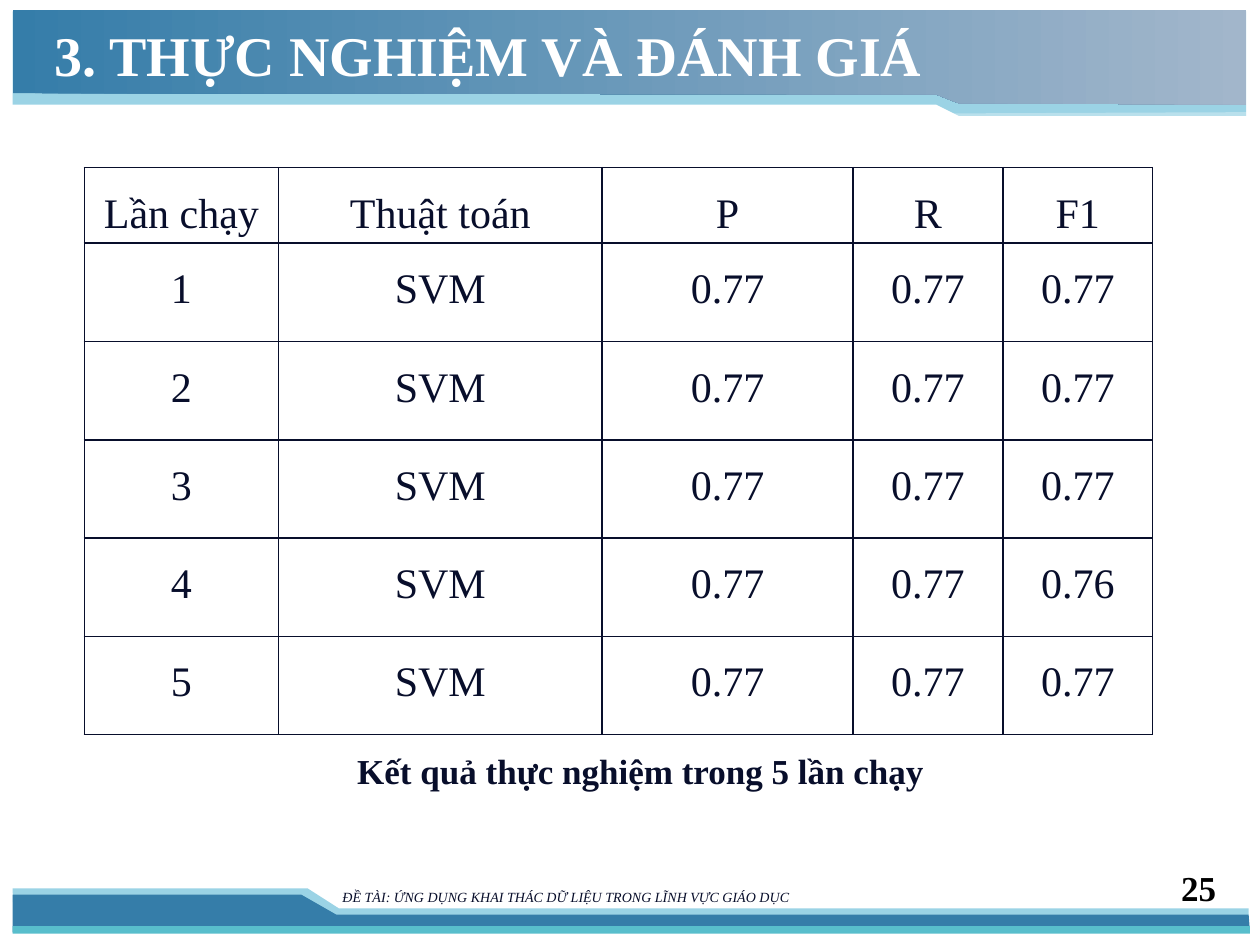
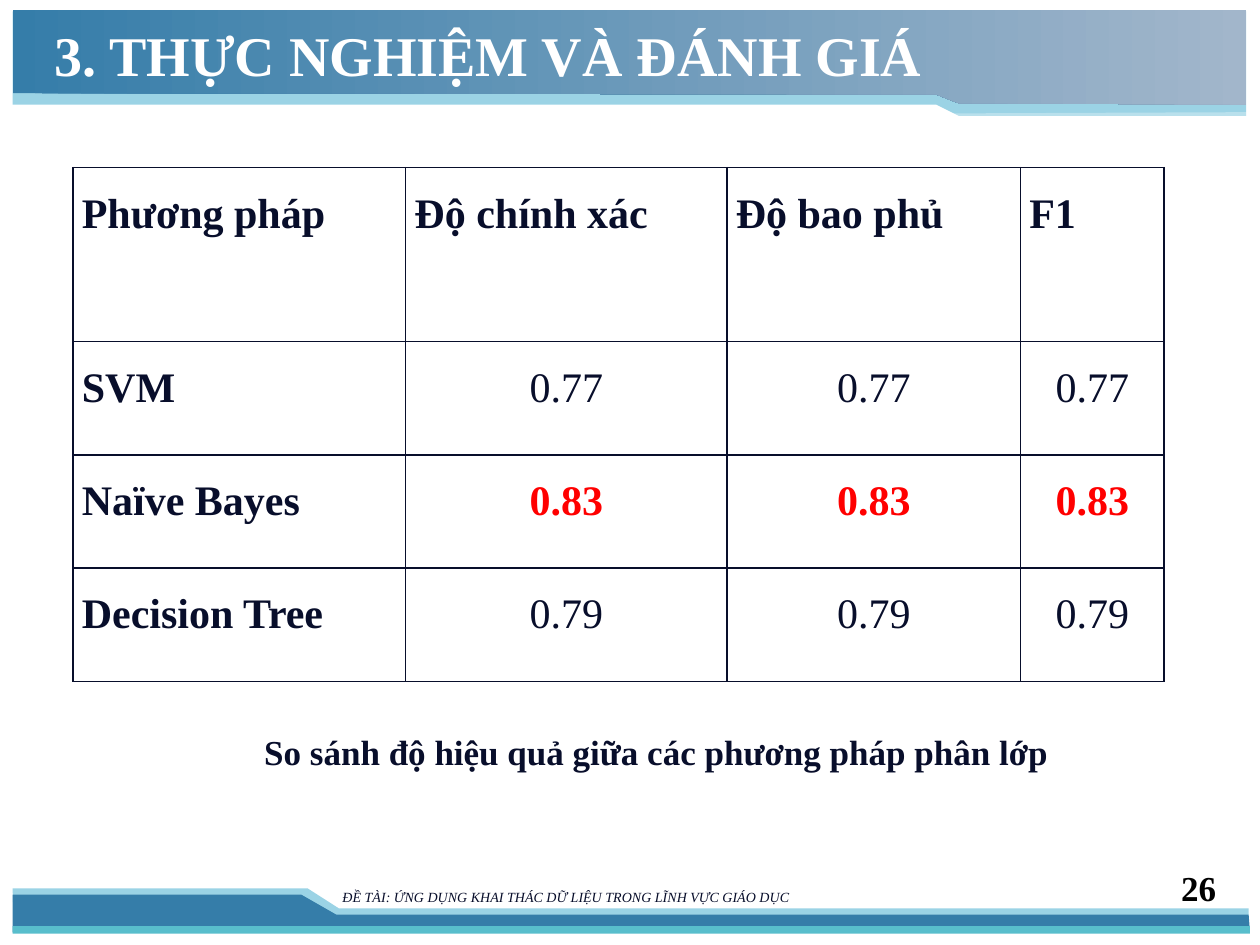
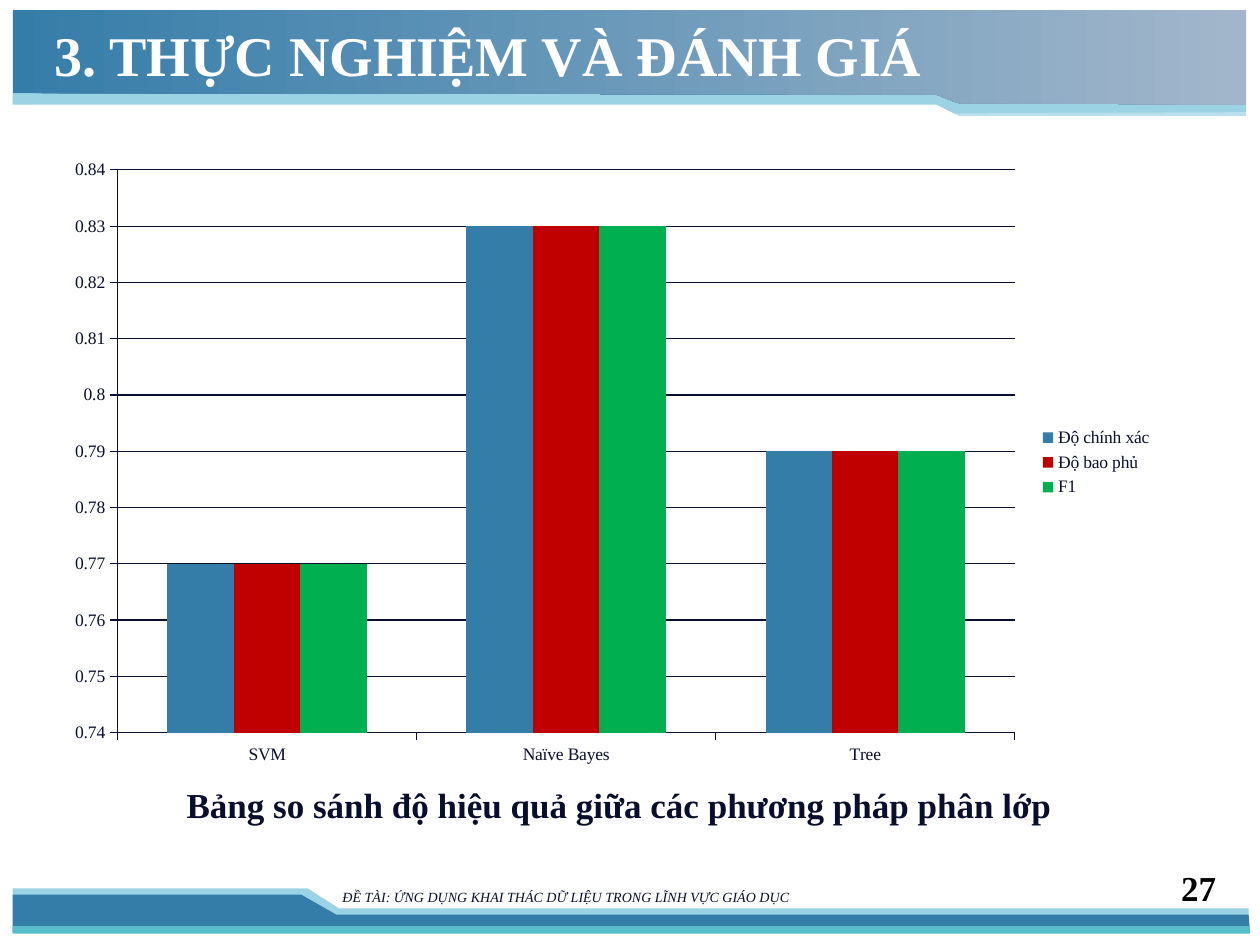
from lxml.etree import SubElement as Sub
from pptx import Presentation
from pptx.chart.data import CategoryChartData as ChartData
from pptx.dml.color import RGBColor
from pptx.enum.chart import XL_CHART_TYPE as Kind, XL_LEGEND_POSITION as Spot
from pptx.enum.chart import XL_TICK_MARK as Tick
from pptx.enum.shapes import MSO_SHAPE as Shape
from pptx.enum.text import MSO_ANCHOR as Anchor, PP_ALIGN as Align
from pptx.oxml.ns import qn
from pptx.util import Inches, Pt

FONT = "Times New Roman"
INK, WHITE, RED = "080E2B", "FFFFFF", "FF0000"
BLUE, PALE, MIST, TEAL = "357DA9", "9BD3E5", "A2B6CB", "58BECC"

TITLE = "3. THỰC NGHIỆM VÀ ĐÁNH GIÁ"
TOPIC = "ĐỀ TÀI: ỨNG DỤNG KHAI THÁC DỮ LIỆU TRONG LĨNH VỰC GIÁO DỤC"
NAMES = ["Độ chính xác", "Độ bao phủ", "F1"]


def rgb(code):
    """Turn a hex string into a colour."""
    return RGBColor.from_string(code)


def write(frame, text, size, color=INK, bold=False, italic=False, align=Align.LEFT):
    """Put one formatted paragraph in a text frame and return it."""
    frame.text = text
    frame.word_wrap = True
    para = frame.paragraphs[0]
    para.alignment = align
    font = para.runs[0].font
    font.name, font.size = FONT, Pt(size)
    font.bold, font.italic = bold, italic
    font.color.rgb = rgb(color)
    return para


# Bands of every slide, back to front: fill and corner points
BANDS = [
    (PALE, [(9.89, 0.09), (0.1, 0.09), (0.1, 0.83), (7.43, 0.83), (7.61, 0.92), (9.89, 0.92)]),
    ("fade", [(9.89, 0.08), (0.1, 0.08), (0.1, 0.74), (7.43, 0.75), (7.61, 0.82), (9.89, 0.83)]),
    ("glass", [(7.54, 0.9), (9.9, 0.89), (9.9, 0.94), (7.65, 0.94)]),
    (PALE, [(0.11, 7.39), (9.91, 7.39), (9.91, 7.21), (2.69, 7.21), (2.44, 7.05), (0.1, 7.05)]),
    (BLUE, [(0.1, 7.4), (9.92, 7.39), (9.91, 7.26), (2.67, 7.26), (2.39, 7.1), (0.1, 7.1)]),
]

# Page number, then caption text, left, top and width
PAGES = [
    (25, "Kết quả thực nghiệm trong 5 lần chạy", 1.92, 5.9, 6.33),
    (26, "So sánh độ hiệu quả giữa các phương pháp phân lớp", 1.92, 5.75, 6.58),
    (27, "Bảng so sánh độ hiệu quả giữa các phương pháp phân lớp", 1.25, 6.17, 7.33),
]

prs = Presentation()
prs.slide_width, prs.slide_height = Inches(10), Inches(7.5)

slides = []
for page, note, left, top, width in PAGES:
    slide = prs.slides.add_slide(prs.slide_layouts[5])
    slides.append(slide)
    title = slide.shapes.title

    for tone, dots in BANDS:
        dots = [(Inches(x), Inches(y)) for x, y in dots]
        pen = slide.shapes.build_freeform(*dots[0])
        pen.add_line_segments(dots[1:], close=True)
        band = pen.convert_to_shape()
        band.shadow.inherit = False
        band.line.fill.background()
        if tone == "fade":
            band.fill.gradient()
            band.fill.gradient_angle = 0
            for stop, code in zip(band.fill.gradient_stops, (BLUE, MIST)):
                stop.color.rgb = rgb(code)
            continue
        band.fill.solid()
        band.fill.fore_color.rgb = rgb(WHITE if tone == "glass" else tone)
        if tone == "glass":
            paint = band.fill._xPr.find(".//" + qn("a:srgbClr"))
            Sub(paint, qn("a:alpha"), val="30000")

    strip = slide.shapes.add_shape(
        Shape.RECTANGLE, Inches(0.1), Inches(7.35), Inches(9.82), Inches(0.06))
    strip.shadow.inherit = False
    strip.fill.solid()
    strip.fill.fore_color.rgb = rgb(TEAL)
    strip.line.fill.background()

    foot = slide.shapes.add_textbox(Inches(2.62), Inches(7), Inches(6.13), Inches(0.24))
    write(foot.text_frame, TOPIC, 8, italic=True)
    count = slide.shapes.add_textbox(Inches(9.17), Inches(6.83), Inches(0.58), Inches(0.4))
    write(count.text_frame, str(page), 20, "000000", bold=True, align=Align.RIGHT)

    # The title lies above the bands
    slide.shapes._spTree.append(title._element)
    title.left, title.top = Inches(0.33), Inches(0.08)
    title.width, title.height = Inches(8.33), Inches(0.7)
    write(title.text_frame, TITLE, 32, WHITE, bold=True)
    title.text_frame.vertical_anchor = Anchor.MIDDLE

    label = slide.shapes.add_textbox(Inches(left), Inches(top), Inches(width), Inches(0.44))
    write(label.text_frame, note, 20, bold=True, align=Align.CENTER)

# Tables: five runs of one method, then the methods side by side
runs = [["Lần chạy", "Thuật toán", "P", "R", "F1"]]
for turn in range(1, 6):
    runs.append([str(turn), "SVM", "0.77", "0.77", "0.76" if turn == 4 else "0.77"])
scores = [("SVM", 0.77), ("Naïve Bayes", 0.83), ("Decision Tree", 0.79)]
best = max(value for _, value in scores)
methods = [["Phương pháp"] + NAMES]
methods += [[name] + [f"{value:.2f}"] * 3 for name, value in scores]

TABLES = [
    (slides[0], runs, 0.67, [1.54, 2.57, 1.99, 1.19, 1.19], [0.44] + [0.78] * 5, False),
    (slides[1], methods, 0.58, [2.64, 2.55, 2.33, 1.14], [1.38] + [0.9] * 3, True),
]
for slide, rows, left, wide, high, heads in TABLES:
    table = slide.shapes.add_table(
        len(rows), len(wide), Inches(left), Inches(1.33),
        Inches(sum(wide)), Inches(sum(high))).table
    table.first_row = table.horz_banding = False
    for col, width in zip(table.columns, wide):
        col.width = Inches(width)
    for row, height in zip(table.rows, high):
        row.height = Inches(height)
    for r, row in enumerate(rows):
        for c, text in enumerate(row):
            cell = table.cell(r, c)
            cell.margin_left = cell.margin_right = Inches(0.07)
            cell.margin_top = cell.margin_bottom = 0
            head = heads and (r == 0 or c == 0)
            top = heads and not head and float(text) == best
            para = write(cell.text_frame, text, 24, RED if top else INK, bold=head or top,
                         align=Align.LEFT if head else Align.CENTER)
            para.line_spacing = 1.5
            if not heads:
                para.space_before = Pt(6)
            props = cell._tc.get_or_add_tcPr()
            for side in ("lnL", "lnR", "lnT", "lnB"):
                edge = Sub(props, qn("a:" + side), w=str(Pt(1)))
                Sub(Sub(edge, qn("a:solidFill")), qn("a:srgbClr"), val=INK)
            cell.fill.background()

# Chart of the same scores
data = ChartData(number_format="General")
data.categories = ["SVM", "Naïve Bayes", "Tree"]
for name in NAMES:
    data.add_series(name, [value for _, value in scores])
chart = slides[2].shapes.add_chart(
    Kind.COLUMN_CLUSTERED, Inches(0.42), Inches(1.17), Inches(8.83), Inches(5), data).chart
chart.has_title = False
chart.font.name, chart.font.size = "Arial", Pt(10)
chart.font.color.rgb = rgb(PALE)
chart.has_legend = True
chart.legend.position = Spot.RIGHT
chart.legend.include_in_layout = False

plot = chart.plots[0]
plot.gap_width, plot.overlap, plot.vary_by_categories = 150, 0, False
for series, code in zip(plot.series, (BLUE, "C00000", "00B050")):
    series.format.fill.solid()
    series.format.fill.fore_color.rgb = rgb(code)

scale = chart.value_axis
scale.minimum_scale, scale.maximum_scale, scale.major_unit = 0.74, 0.84, 0.01
scale.has_major_gridlines = True
lines = [scale.major_gridlines.format.line]
fonts = [chart.legend.font]
for axis in (chart.category_axis, scale):
    axis.major_tick_mark, axis.minor_tick_mark = Tick.OUTSIDE, Tick.NONE
    axis.tick_labels.number_format = "General"
    axis.tick_labels.number_format_is_linked = False
    lines.append(axis.format.line)
    fonts.append(axis.tick_labels.font)
for line in lines:
    line.width = Pt(0.75)
    line.color.rgb = rgb(INK)
for font in fonts:
    font.name, font.size = FONT, Pt(10)
    font.color.rgb = rgb(INK)

prs.save("out.pptx")
